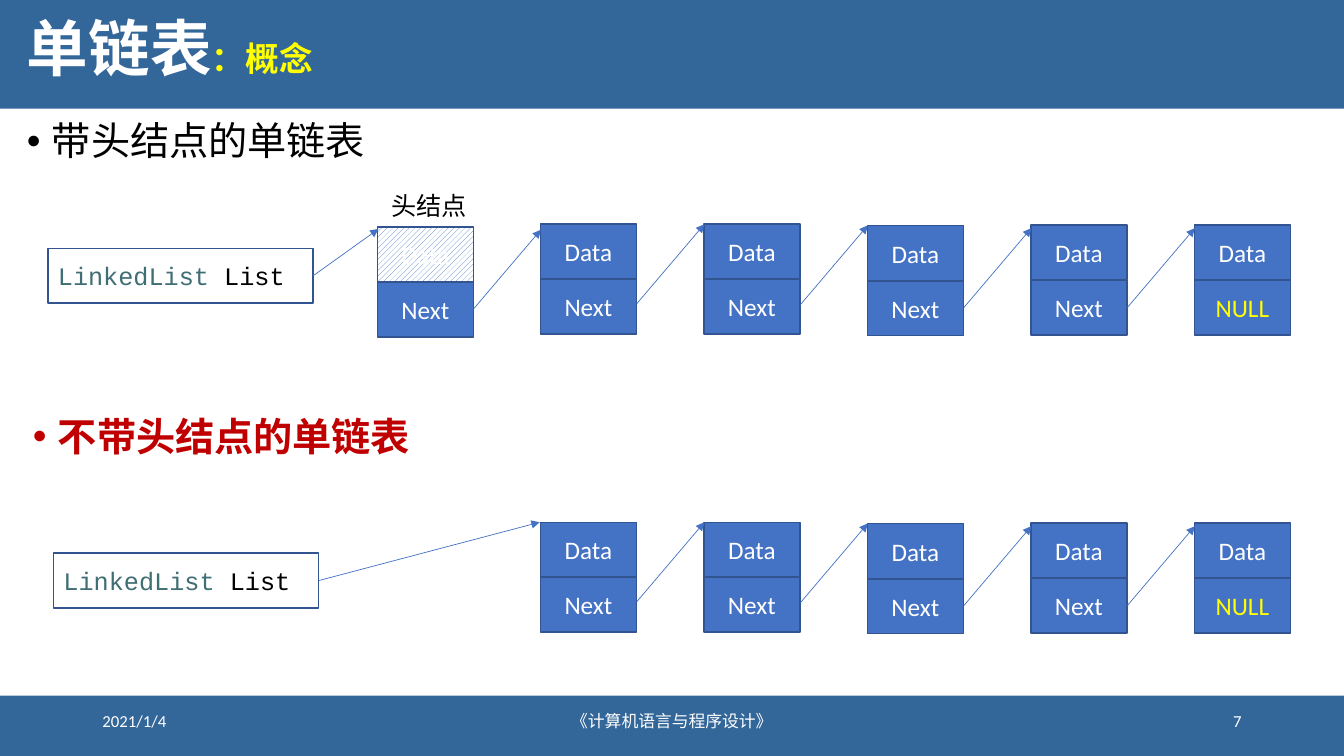
from lxml import etree
from pptx import Presentation
from pptx.dml.color import RGBColor
from pptx.enum import dml, shapes, text
from pptx.oxml.ns import qn
from pptx.util import Cm, Pt

BAND = RGBColor(0x33, 0x66, 0x99)
BLUE = RGBColor(0x44, 0x72, 0xC4)
EDGE = RGBColor(0x32, 0x54, 0x91)
TEAL = RGBColor(0x3F, 0x6E, 0x74)
RED = RGBColor(0xC0, 0x00, 0x00)
YELLOW = RGBColor(0xFF, 0xFF, 0x00)
WHITE = RGBColor(0xFF, 0xFF, 0xFF)
BLACK = RGBColor(0x00, 0x00, 0x00)

LATIN, HAN, MONO = "Calibri", "Noto Sans CJK SC", "Courier New"
LEFT, CENTER, RIGHT = text.PP_ALIGN.LEFT, text.PP_ALIGN.CENTER, text.PP_ALIGN.RIGHT
TOP, MIDDLE = text.MSO_ANCHOR.TOP, text.MSO_ANCHOR.MIDDLE

# Node grid, in centimetres
NODE_X, PITCH = 13.62, 4.12
CELL_W, CELL_H, CELL_STEP = 2.42, 1.38, 1.39
NODE_SHIFTS = [0, 0, 0.04, 0.02, 0.02]
ARROW_STARTS = [2.0, 2.03, 2.1, 2.1]
ARROW_DX, ARROW_DY = 1.7, -2.0


def add_run(p, words, size, font, color, bold=False):
    r = p.add_run()
    r.text = words
    r.font.size, r.font.name, r.font.bold = Pt(size), font, bold
    r.font.color.rgb = color
    ea = etree.SubElement(r._r.get_or_add_rPr(), qn("a:ea"))
    ea.set("typeface", HAN)


def add_text(s, x, y, w, h, runs, align=LEFT, anchor=TOP, wrap=True):
    tf = s.shapes.add_textbox(Cm(x), Cm(y), Cm(w), Cm(h)).text_frame
    tf.word_wrap = wrap
    tf.vertical_anchor = anchor
    p = tf.paragraphs[0]
    p.alignment = align
    for run in runs:
        add_run(p, *run)
    return p


def add_bullet(s, x, y, run):
    p = add_text(s, x, y, 32.69, 1.45, [run])
    p.line_spacing = 0.9
    pPr = p._p.get_or_add_pPr()
    pPr.set("marL", str(Cm(0.63)))
    pPr.set("indent", str(-Cm(0.63)))
    etree.SubElement(pPr, qn("a:buFont")).set("typeface", "Arial")
    etree.SubElement(pPr, qn("a:buChar")).set("char", "•")


def add_box(parent, x, y, w, h, fill=None, line=None, runs=(), align=CENTER):
    sp = parent.add_shape(shapes.MSO_SHAPE.RECTANGLE, Cm(x), Cm(y), Cm(w), Cm(h))
    sp.shadow.inherit = False
    if fill is None:
        sp.fill.background()
    else:
        sp.fill.solid()
        sp.fill.fore_color.rgb = fill
    if line is None:
        sp.line.fill.background()
    else:
        sp.line.color.rgb = line
        sp.line.width = Pt(1)
    tf = sp.text_frame
    tf.vertical_anchor = MIDDLE
    p = tf.paragraphs[0]
    p.alignment = align
    for run in runs:
        add_run(p, *run)
    return sp


def add_node(s, x, y, link="Next", link_color=WHITE):
    group = s.shapes.add_group_shape().shapes
    data = add_box(group, x, y, CELL_W, CELL_H, BLUE, EDGE,
                   [("Data", 18, LATIN, WHITE)])
    add_box(group, x, y + CELL_STEP, CELL_W, CELL_H, BLUE, EDGE,
            [(link, 18, LATIN, link_color)])
    return data


def add_arrow(s, x1, y1, x2, y2):
    c = s.shapes.add_connector(shapes.MSO_CONNECTOR.STRAIGHT,
                               Cm(x1), Cm(y1), Cm(x2), Cm(y2))
    c.line.color.rgb = BLUE
    c.line.width = Pt(0.5)
    etree.SubElement(c.line._get_or_add_ln(), qn("a:tailEnd")).set("type", "triangle")
    etree.SubElement(c._element.spPr, qn("a:effectLst"))


def add_next_arrow(s, index, y):
    x = NODE_X + index * PITCH + CELL_W + 0.01
    add_arrow(s, x, y, x + ARROW_DX, y + ARROW_DY)


def add_chain(s, top):
    last = len(NODE_SHIFTS) - 1
    for i, shift in enumerate(NODE_SHIFTS):
        end = ("NULL", YELLOW) if i == last else ("Next", WHITE)
        add_node(s, NODE_X + i * PITCH, top + shift, *end)
    for i, start in enumerate(ARROW_STARTS):
        add_next_arrow(s, i, top + start)


def add_list_variable(s, x, y):
    add_box(s.shapes, x, y, 6.68, CELL_H, None, EDGE,
            [("LinkedList ", 18, MONO, TEAL), ("List", 18, MONO, BLACK)], LEFT)


def main():
    prs = Presentation()
    prs.slide_width, prs.slide_height = Cm(33.87), Cm(19.05)
    s = prs.slides.add_slide(prs.slide_layouts[6])

    # Bands, title and footer
    add_box(s.shapes, 0, 0, 33.87, 2.74, BAND)
    add_box(s.shapes, 0, 17.53, 33.87, 1.52, BAND)
    title = add_text(s, 0.43, 0, 32.69, 2.62,
                     [("单链表", 44, HAN, WHITE, True), ("：概念", 24, HAN, YELLOW, True)],
                     anchor=MIDDLE)
    title.line_spacing = 0.9
    for x, w, words, align in [(2.33, 7.62, "2021/1/4", LEFT),
                               (11.22, 11.43, "《计算机语言与程序设计》", CENTER),
                               (23.92, 7.62, "7", RIGHT)]:
        add_text(s, x, 17.66, w, 1.01, [(words, 12, LATIN, WHITE)], align, MIDDLE)

    # List with a head node
    add_bullet(s, 0.43, 2.95, ("带头结点的单链表", 28, HAN, BLACK))
    add_chain(s, 5.65)
    head = add_node(s, 9.51, 5.72)
    head.fill.patterned()
    head.fill.pattern = dml.MSO_PATTERN.WIDE_UPWARD_DIAGONAL
    head.fill.fore_color.rgb = BLUE
    head.fill.back_color.rgb = WHITE
    add_next_arrow(s, -1, 7.79)
    add_text(s, 9.61, 4.67, 2.44, 1.02, [("头结点", 18, HAN, BLACK)], wrap=False)
    add_list_variable(s, 1.21, 6.26)
    add_arrow(s, 7.89, 6.95, 9.54, 5.77)

    # List without a head node
    add_bullet(s, 0.58, 10.39, ("不带头结点的单链表", 28, HAN, RED, True))
    add_chain(s, 13.16)
    add_list_variable(s, 1.35, 13.94)
    add_arrow(s, 8.03, 14.63, 13.6, 13.16)

    prs.save("out.pptx")


if __name__ == "__main__":
    main()
